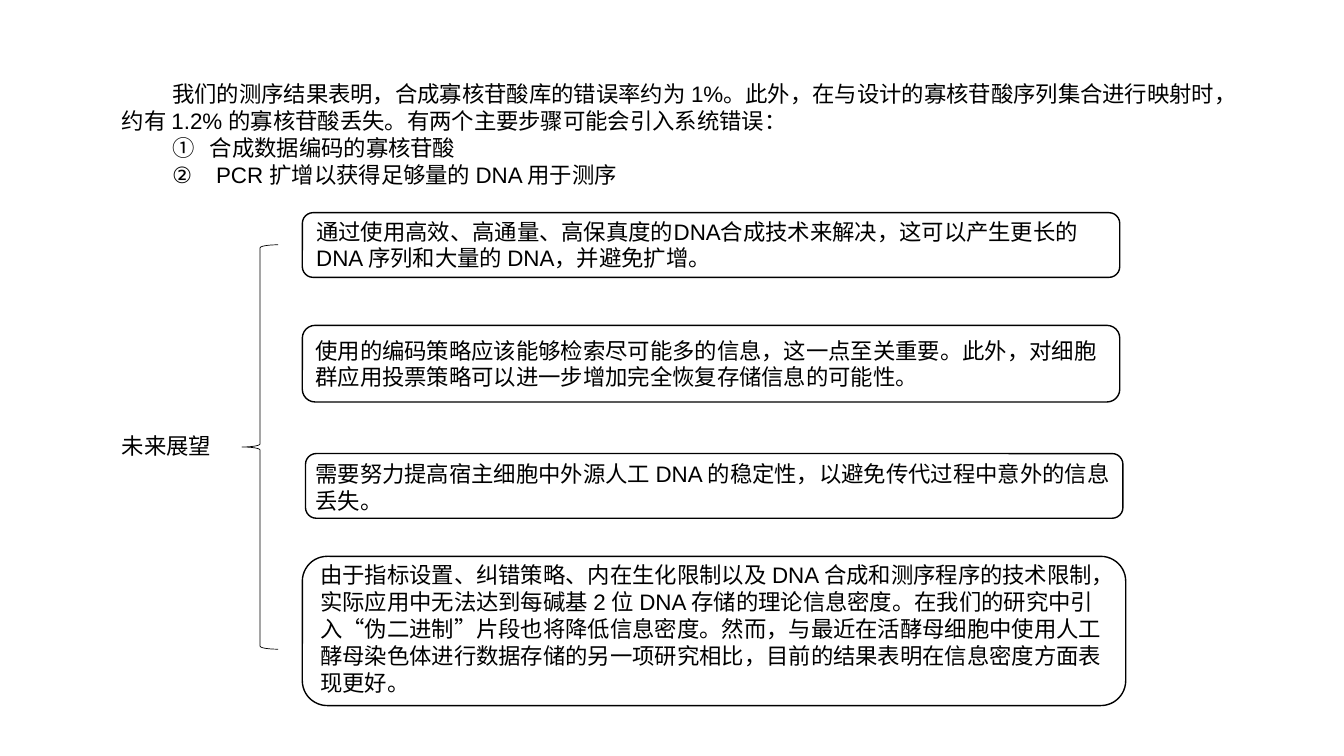
from lxml.etree import SubElement
from pptx import Presentation
from pptx.dml.color import RGBColor
from pptx.enum.shapes import MSO_SHAPE
from pptx.enum.text import MSO_AUTO_SIZE, PP_ALIGN
from pptx.oxml.ns import qn
from pptx.util import Cm, Pt

COLORS = {"ink": "000000", "paper": "FFFFFF"}
FONT = "Arial"

FINDINGS = (
    "我们的测序结果表明，合成寡核苷酸库的错误率约为 1%。此外，在与设计的寡核苷酸序列集合进行映射时，"
    "约有 1.2% 的寡核苷酸丢失。有两个主要步骤可能会引入系统错误："
)
ERROR_STEPS = ["合成数据编码的寡核苷酸", " PCR 扩增以获得足够量的 DNA 用于测序"]

# Each prospect: frame (left, top, width, height), text (left, top, width, height), wording
PROSPECTS = [
    (
        (4.8, 8.66, 20.75, 3.76),
        (5, 8.66, 20.5, 3.68),
        "由于指标设置、纠错策略、内在生化限制以及 DNA 合成和测序程序的技术限制，"
        "实际应用中无法达到每碱基 2 位 DNA 存储的理论信息密度。在我们的研究中引入“伪二进制”片段"
        "也将降低信息密度。然而，与最近在活酵母细胞中使用人工酵母染色体进行数据存储的另一项研究相比，"
        "目前的结果表明在信息密度方面表现更好。",
    ),
    (
        (4.88, 6.07, 20.6, 1.63),
        (4.88, 6.12, 20.75, 1.63),
        "需要努力提高宿主细胞中外源人工 DNA 的稳定性，以避免传代过程中意外的信息丢失。",
    ),
    (
        (4.8, 2.84, 20.6, 1.93),
        (4.88, 3, 20.37, 1.63),
        "使用的编码策略应该能够检索尽可能多的信息，这一点至关重要。此外，"
        "对细胞群应用投票策略可以进一步增加完全恢复存储信息的可能性。",
    ),
    (
        (4.8, 0, 20.6, 1.63),
        (4.9, 0, 20.32, 1.63),
        "通过使用高效、高通量、高保真度的DNA合成技术来解决，"
        "这可以产生更长的 DNA 序列和大量的 DNA，并避免扩增。",
    ),
]


def color(name):
    return RGBColor.from_string(COLORS[name])


def within(region, part):
    return Cm(region[0] + part[0]), Cm(region[1] + part[1]), Cm(part[2]), Cm(part[3])


def add_outline(slide, preset, place, weight, fill=None):
    outline = slide.shapes.add_shape(preset, *place)
    outline.shadow.inherit = False
    if fill:
        outline.fill.solid()
        outline.fill.fore_color.rgb = color(fill)
    else:
        outline.fill.background()
    outline.line.color.rgb = color("ink")
    outline.line.width = Pt(weight)


def add_wording(paragraph, wording):
    paragraph.alignment = PP_ALIGN.LEFT
    run = paragraph.add_run()
    run.text = wording
    run.font.size = Pt(16)
    run.font.name = FONT
    run.font.color.rgb = color("ink")


def add_passage(slide, place, wording):
    frame = slide.shapes.add_textbox(*place).text_frame
    frame.word_wrap = True
    frame.auto_size = MSO_AUTO_SIZE.SHAPE_TO_FIT_TEXT
    add_wording(frame.paragraphs[0], wording)
    return frame


def set_indent(paragraph, margin, first_line):
    properties = paragraph._p.get_or_add_pPr()
    properties.set("marL", str(Cm(margin)))
    properties.set("indent", str(Cm(first_line)))
    return properties


def build_findings(slide, region):
    left, top, width, height = region
    passage = add_passage(slide, within(region, (0, 0, width, height)), FINDINGS)
    set_indent(passage.paragraphs[0], 0, 1.27)
    for step in ERROR_STEPS:
        item = passage.add_paragraph()
        item.level = 1
        add_wording(item, step)
        properties = set_indent(item, 2.22, -0.95)
        SubElement(properties, qn("a:buFont")).set("typeface", FONT)
        SubElement(properties, qn("a:buAutoNum")).set("type", "circleNumDbPlain")


def build_outlook(slide, region):
    for frame, text, wording in PROSPECTS:
        add_outline(slide, MSO_SHAPE.ROUNDED_RECTANGLE, within(region, frame), 1, "paper")
        add_passage(slide, within(region, text), wording)
    add_outline(slide, MSO_SHAPE.LEFT_BRACE, within(region, (3.28, 0.81, 0.91, 10.19)), 0.5)
    add_passage(slide, within(region, (0, 5.41, 3.28, 0.94)), "未来展望")


def main():
    deck = Presentation()
    deck.slide_width, deck.slide_height = Cm(33.87), Cm(19.05)
    slide = deck.slides.add_slide(deck.slide_layouts[6])
    build_findings(slide, (2.82, 1.9, 29.13, 3.76))
    build_outlook(slide, (2.82, 5.36, 25.55, 12.42))
    deck.save("out.pptx")


if __name__ == "__main__":
    main()
